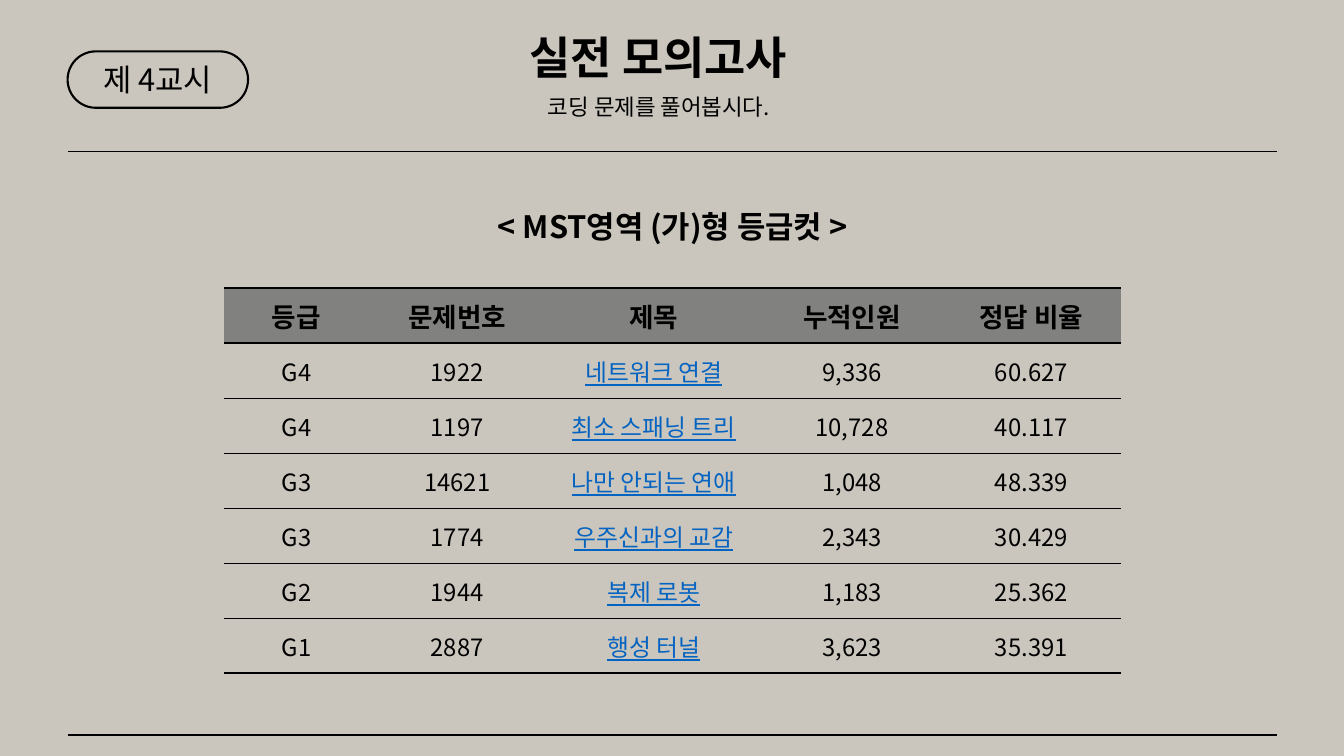
from dataclasses import dataclass

from lxml import etree
from pptx import Presentation, util as u
from pptx.dml.color import RGBColor
from pptx.enum import shapes, text
from pptx.oxml.ns import qn

TITLE = "실전 모의고사"
NOTE = "코딩 문제를 풀어봅시다."
PERIOD = "제 4교시"
HEADING = "< MST영역 (가)형 등급컷 >"
ROWS = [
    ("등급", "문제번호", "제목", "누적인원", "정답 비율"),
    ("G4", "1922", "네트워크 연결", "9,336", "60.627"),
    ("G4", "1197", "최소 스패닝 트리", "10,728", "40.117"),
    ("G3", "14621", "나만 안되는 연애", "1,048", "48.339"),
    ("G3", "1774", "우주신과의 교감", "2,343", "30.429"),
    ("G2", "1944", "복제 로봇", "1,183", "25.362"),
    ("G1", "2887", "행성 터널", "3,623", "35.391"),
]
WIDTHS = (1.44, 1.75, 2.15, 1.78, 1.78)
NAMES = 2  # column of problem names
LEFT, RIGHT = 0.67, 12.67
RULES = (1.5, 7.29)


@dataclass(frozen=True)
class Theme:
    """Colours, type sizes and line widths."""
    font: str = "Noto Sans CJK KR"
    ink: str = "000000"
    paper: str = "CAC6BD"
    head: str = "81817F"
    link: str = "0563C1"
    title: int = 32
    heading: int = 22
    note: int = 16
    label: int = 19
    body: int = 17
    thin: float = 0.5
    rule: float = 1
    thick: float = 1.5


T = Theme()


def rgb(tint):
    """Turn a hex string into a colour."""
    return RGBColor.from_string(tint)


def inches(*sizes):
    """Convert numbers to lengths."""
    return [u.Inches(s) for s in sizes]


def write(frame, words, size, tint=T.ink, **style):
    """Put one centred line of text in a frame."""
    para = frame.paragraphs[0]
    para.alignment = text.PP_ALIGN.CENTER
    run = para.add_run()
    run.text = words
    run.font.color.rgb = rgb(tint)
    for key, val in {"name": T.font, "size": u.Pt(size), **style}.items():
        setattr(run.font, key, val)
    east = etree.SubElement(run.font._element, qn("a:ea"))
    east.set("typeface", T.font)


def label(box, words, size, **style):
    """Format a text shape that grows with its text."""
    form = {"word_wrap": True, "vertical_anchor": text.MSO_ANCHOR.TOP,
            "auto_size": text.MSO_AUTO_SIZE.SHAPE_TO_FIT_TEXT}
    for key, val in form.items():
        setattr(box.text_frame, key, val)
    write(box.text_frame, words, size, **style)


def rule(slide, y):
    """Draw a line from margin to margin."""
    line = slide.shapes.add_connector(
        shapes.MSO_CONNECTOR.STRAIGHT, *inches(LEFT, y, RIGHT, y))
    line.line.color.rgb = rgb(T.ink)
    line.line.width = u.Pt(T.rule)
    etree.SubElement(line._element.spPr, qn("a:effectLst"))


def border(cell, top, base):
    """Give a cell top and bottom lines and open sides."""
    props = cell._tc.get_or_add_tcPr()
    for side, width in zip("LRTB", (0, 0, top, base)):
        line = etree.SubElement(props, qn("a:ln" + side), w=str(u.Pt(width)))
        if width:
            fill = etree.SubElement(line, qn("a:solidFill"))
            etree.SubElement(fill, qn("a:srgbClr"), val=T.ink)
        else:
            etree.SubElement(line, qn("a:noFill"))


def grades(slide):
    """Build the table of problems."""
    table = slide.shapes.add_table(
        len(ROWS), len(WIDTHS), *inches(2.22, 2.86, sum(WIDTHS), 3.82)).table
    table.first_row = table.horz_banding = False
    for col, width in zip(table.columns, WIDTHS):
        col.width = u.Inches(width)
    last = len(ROWS) - 1
    edges = [T.thick if i in (0, 1, last + 1) else T.thin
             for i in range(last + 2)]
    for r, row in enumerate(ROWS):
        for c, words in enumerate(row):
            cell = table.cell(r, c)
            border(cell, edges[r], edges[r + 1])
            cell.fill.solid()
            cell.fill.fore_color.rgb = rgb(T.paper if r else T.head)
            cell.vertical_anchor = text.MSO_ANCHOR.MIDDLE
            name = r > 0 and c == NAMES
            write(cell.text_frame, words, T.body if r else T.label,
                  T.link if name else T.ink, bold=r == 0, underline=name)


def badge(slide):
    """Draw the rounded period label."""
    pill = slide.shapes.add_shape(shapes.MSO_SHAPE.ROUNDED_RECTANGLE,
                                  *inches(LEFT, 0.51, 1.79, 0.56))
    pill.adjustments[0] = 0.5
    pill.shadow.inherit = False
    pill.fill.background()
    pill.line.color.rgb = rgb(T.ink)
    pill.line.width = u.Pt(T.thick)
    pill.text_frame.vertical_anchor = text.MSO_ANCHOR.MIDDLE
    write(pill.text_frame, PERIOD, T.heading)


def main():
    """Build and save the slide."""
    deck = Presentation()
    deck.slide_width, deck.slide_height = inches(13.33, 7.5)
    slide = deck.slides.add_slide(deck.slide_layouts[5])
    slide.background.fill.solid()
    slide.background.fill.fore_color.rgb = rgb(T.paper)
    for y in RULES:
        rule(slide, y)
    title = slide.shapes.title
    spot = zip(("left", "top", "width", "height"),
               inches(2.64, 0.24, 7.78, 0.64))
    for key, val in spot:
        setattr(title, key, val)
    label(title, TITLE, T.title, bold=True)
    note = slide.shapes.add_textbox(*inches(4.59, 0.88, 3.89, 0.37))
    label(note, NOTE, T.note)
    heading = slide.shapes.add_textbox(*inches(3.84, 2.01, 5.66, 0.47))
    label(heading, HEADING, T.heading, bold=True)
    badge(slide)
    grades(slide)
    deck.save("out.pptx")


main()
